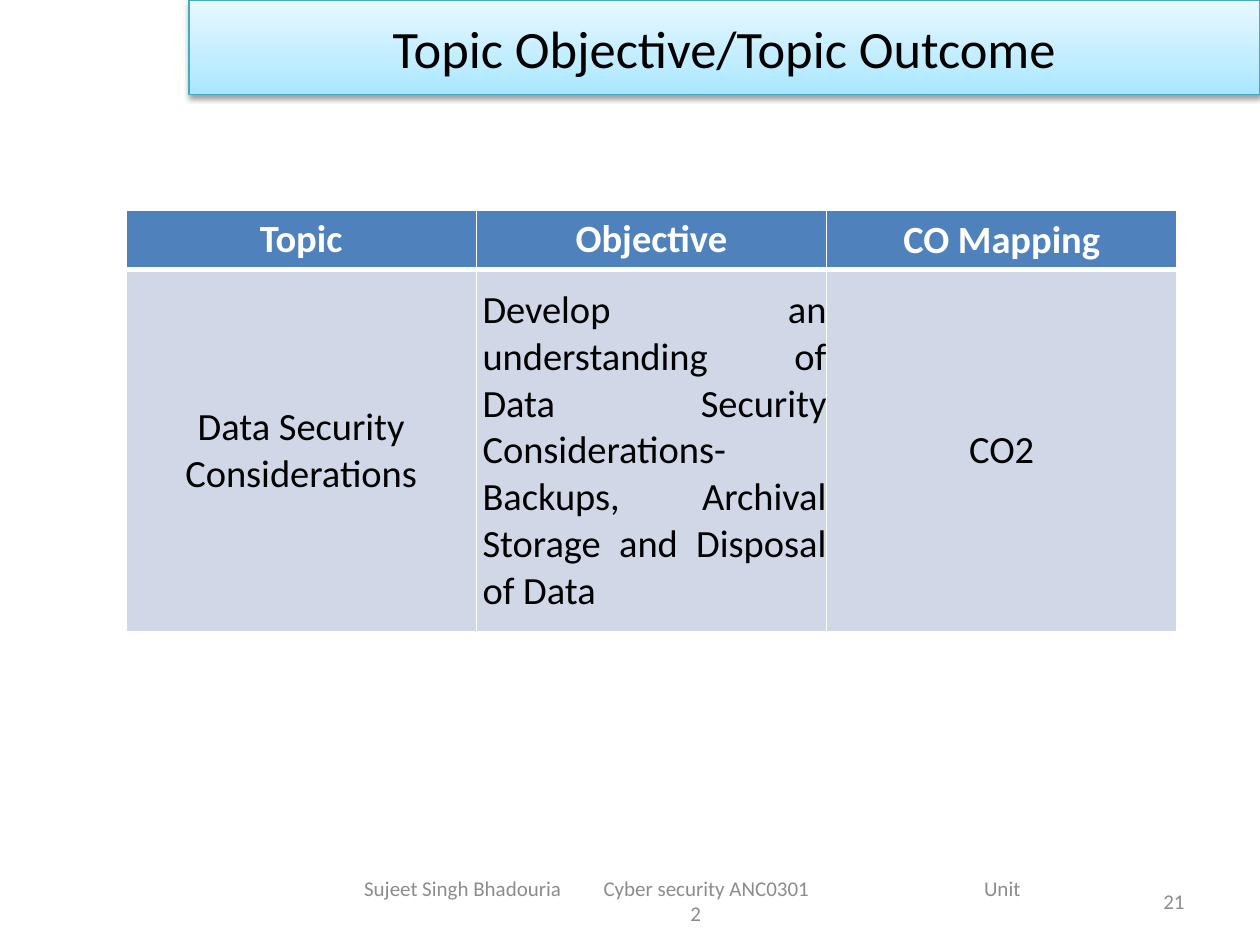
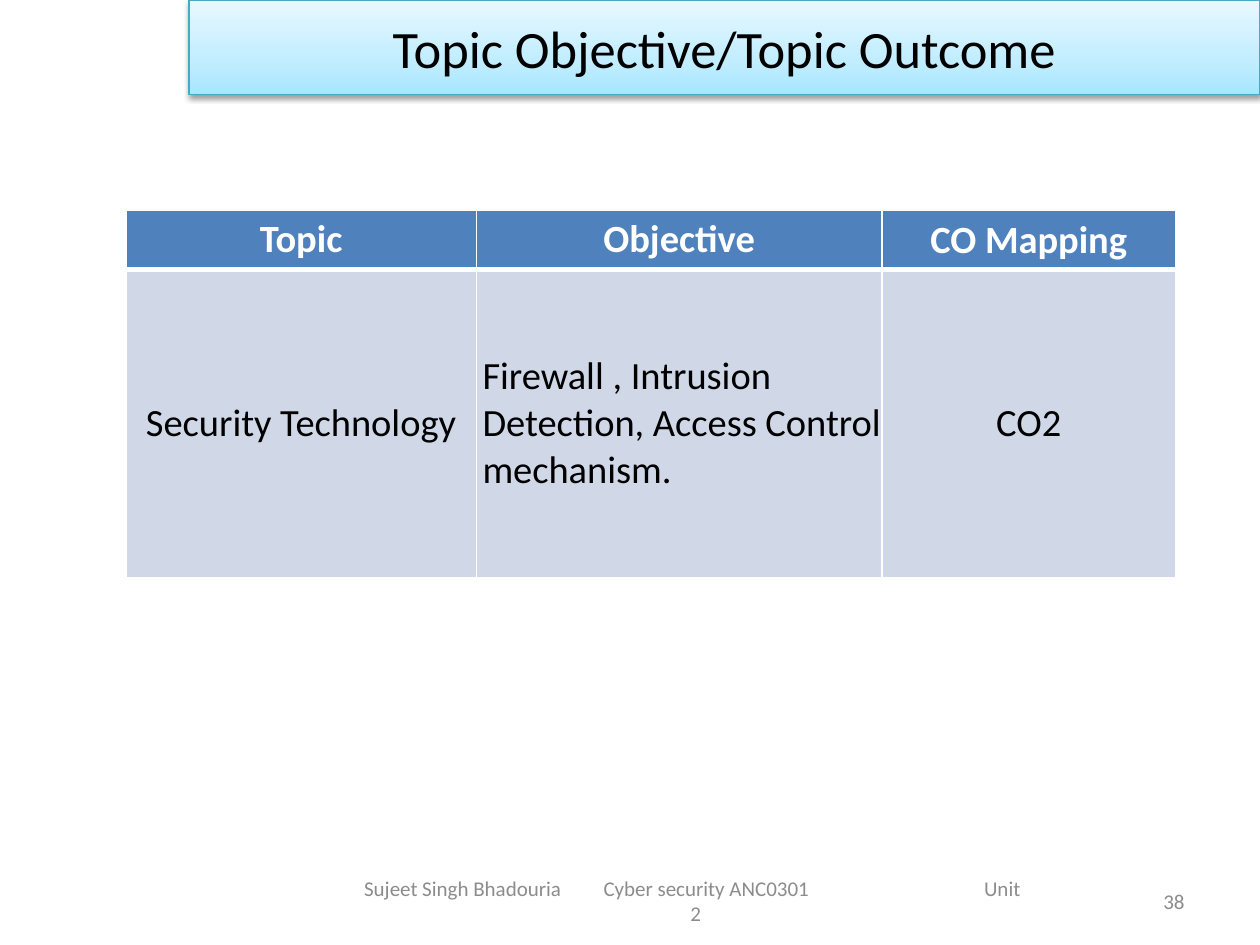
from dataclasses import dataclass

from lxml.etree import SubElement
from pptx import Presentation
from pptx.dml.color import RGBColor
from pptx.enum.shapes import MSO_SHAPE
from pptx.enum.text import MSO_ANCHOR, PP_ALIGN
from pptx.oxml.ns import qn
from pptx.util import Inches, Pt


@dataclass(frozen=True)
class Theme:
    font: str = "Calibri"
    black: str = "000000"
    white: str = "FFFFFF"
    grey: str = "8C8C8C"
    head: str = "4F81BD"
    body: str = "D0D8E8"
    edge: str = "46AAC5"
    band: tuple = ((0, "A7E6FF"), (35, "C1EDFF"), (100, "E7F8FF"))
    title: int = 30
    cell: int = 22
    foot: int = 12


LOOK = Theme()
TITLE = "Topic Objective/Topic Outcome"
HEADS = ("Topic", "Objective", "CO Mapping")
FOOT = "Sujeet Singh Bhadouria\tCyber security ANC0301\tUnit"
UNIT = "2"
STOPS = (1.9, 4.92)
# Left, top, right and bottom cell margins of each column
PADS = ((0, 0, 0, 0), (0.05, 0, 0, 0), (0.1, 0.05, 0.1, 0.05))


def add_tag(parent, name, **attrs):
    return SubElement(parent, qn("a:" + name), attrs)


def add_run(para, text, size, color, bold=False):
    run = para.add_run()
    run.text = text
    font = run.font
    font.name, font.size, font.bold = LOOK.font, Pt(size), bold
    font.color.rgb = RGBColor.from_string(color)


def set_pads(item, pads):
    (item.margin_left, item.margin_top,
     item.margin_right, item.margin_bottom) = map(Inches, pads)


def add_band(slide):
    band = slide.shapes.add_shape(MSO_SHAPE.RECTANGLE, Inches(1.5), 0,
                                  Inches(8.5), Inches(0.75))
    band.fill.gradient()
    band.fill.gradient_angle = 90
    props = band.element.spPr
    stops = props.find(".//" + qn("a:gsLst"))
    for stop in list(stops):
        stops.remove(stop)
    for pos, color in LOOK.band:
        stop = add_tag(stops, "gs", pos=str(pos * 1000))
        add_tag(stop, "srgbClr", val=color)
    band.line.color.rgb = RGBColor.from_string(LOOK.edge)
    band.line.width = Pt(0.75)
    band.shadow.inherit = False
    glow = add_tag(props.find(qn("a:effectLst")), "outerShdw", blurRad="40000",
                   dist="20000", dir="5400000", rotWithShape="0")
    shade = add_tag(glow, "srgbClr", val=LOOK.black)
    add_tag(shade, "alpha", val="38000")

    frame = band.text_frame
    frame.word_wrap = True
    frame.vertical_anchor = MSO_ANCHOR.MIDDLE
    para = frame.paragraphs[0]
    para.alignment = PP_ALIGN.CENTER
    inset = para._p.get_or_add_pPr()
    inset.set("marL", str(Inches(0.5)))
    inset.set("indent", str(Inches(-0.5)))
    add_run(para, TITLE, LOOK.title, LOOK.black)


def add_box(slide, left, width, pad=0.1):
    box = slide.shapes.add_textbox(Inches(left), Inches(6.95),
                                   Inches(width), Inches(0.4))
    frame = box.text_frame
    frame.word_wrap = True
    frame.vertical_anchor = MSO_ANCHOR.MIDDLE
    set_pads(frame, (pad, 0.05, 0.1, 0.05))
    return frame


def add_foot(slide, page):
    para = add_box(slide, 7.17, 2.33).paragraphs[0]
    para.alignment = PP_ALIGN.RIGHT
    add_run(para, page, LOOK.foot, LOOK.grey)

    frame = add_box(slide, 2.75, 5.5, pad=0.14)
    para = frame.paragraphs[0]
    para.alignment = PP_ALIGN.LEFT
    tabs = add_tag(para._p.get_or_add_pPr(), "tabLst")
    for stop in STOPS:
        add_tag(tabs, "tab", pos=str(Inches(stop)), algn="l")
    add_run(para, FOOT, LOOK.foot, LOOK.grey)
    last = frame.add_paragraph()
    last.alignment = PP_ALIGN.CENTER
    add_run(last, UNIT, LOOK.foot, LOOK.grey)


def set_edges(cell, **widths):
    """Draw white cell borders, given as points for L, R, T and B."""
    props = cell._tc.get_or_add_tcPr()
    for spot, (side, width) in enumerate(widths.items()):
        line = add_tag(props, "ln" + side, w=str(Pt(width)))
        add_tag(add_tag(line, "solidFill"), "srgbClr", val=LOOK.white)
        props.insert(spot, line)


def fill_cell(cell, text, pads, align, is_head):
    cell.fill.solid()
    cell.fill.fore_color.rgb = RGBColor.from_string(
        LOOK.head if is_head else LOOK.body)
    set_edges(cell, L=1, R=1, T=1 if is_head else 3, B=3 if is_head else 1)
    set_pads(cell, pads)
    cell.vertical_anchor = MSO_ANCHOR.MIDDLE
    para = cell.text_frame.paragraphs[0]
    para.alignment = align
    add_run(para, text, LOOK.cell, LOOK.white if is_head else LOOK.black,
            is_head)


def add_grid(slide, texts, widths, depth, align):
    """Add the topic table; align applies to the objective text."""
    rows = (0.45, depth)
    grid = slide.shapes.add_table(2, 3, Inches(1), Inches(1.67),
                                  Inches(sum(widths)), Inches(sum(rows))).table
    for col, width in zip(grid.columns, widths):
        col.width = Inches(width)
    for row, height in zip(grid.rows, rows):
        row.height = Inches(height)
    mid = PP_ALIGN.CENTER
    for col, pads in enumerate(PADS):
        head_pads = pads if col == 2 else PADS[0]
        fill_cell(grid.cell(0, col), HEADS[col], head_pads, mid, True)
        fill_cell(grid.cell(1, col), texts[col], pads,
                  align if col == 1 else mid, False)


def main():
    deck = Presentation()
    deck.slide_width, deck.slide_height = Inches(10), Inches(7.5)
    topics = (
        ("21", ("Data Security Considerations",
                "Develop an understanding of Data Security Considerations-"
                "Backups, Archival Storage and Disposal of Data", "CO2"),
         (2.78, 2.78, 2.78), 2.88, PP_ALIGN.JUSTIFY),
        ("38", ("Security Technology",
                "Firewall , Intrusion Detection, Access Control mechanism.",
                "CO2"),
         (2.78, 3.22, 2.33), 2.45, PP_ALIGN.LEFT),
    )
    for page, texts, widths, depth, align in topics:
        slide = deck.slides.add_slide(deck.slide_layouts[6])
        add_band(slide)
        add_foot(slide, page)
        add_grid(slide, texts, widths, depth, align)
    deck.save("out.pptx")


if __name__ == "__main__":
    main()
